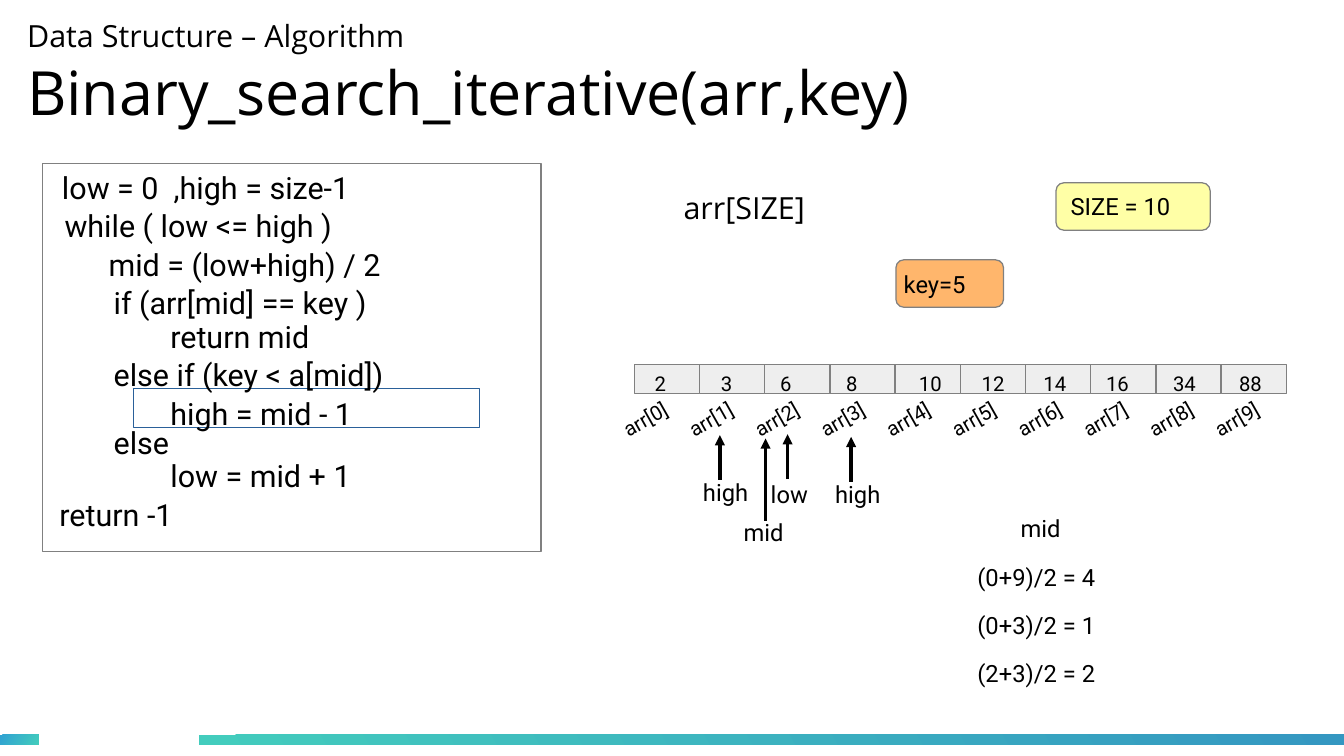
from pptx import Presentation
from pptx.dml.color import RGBColor
from pptx.enum.shapes import MSO_CONNECTOR as Link, MSO_SHAPE as Kind
from pptx.enum.text import MSO_ANCHOR as Anchor, MSO_AUTO_SIZE as Auto, PP_ALIGN as Align
from pptx.oxml.ns import qn
from pptx.util import Pt
from lxml.etree import SubElement

BLACK = RGBColor(0x00, 0x00, 0x00)
WHITE = RGBColor(0xFF, 0xFF, 0xFF)
GRAY = RGBColor(0x80, 0x80, 0x80)
PALE = RGBColor(0xEE, 0xEE, 0xEE)
YELLOW = RGBColor(0xFF, 0xFF, 0xA6)
ORANGE = RGBColor(0xFF, 0xB6, 0x6C)
NAVY = RGBColor(0x2A, 0x60, 0x99)
TEAL = RGBColor(0x43, 0xCC, 0xBD)
SKY = RGBColor(0x30, 0xA2, 0xD2)
BLUE = RGBColor(0x34, 0x97, 0xC1)


class Board:
    head, body = "Open Sans", "Roboto"

    def __init__(self, slide):
        self.slide = slide
        self.shapes = slide.shapes

    def style(self, run, size, face):
        run.font.size = Pt(size)
        run.font.name = face
        run.font.color.rgb = BLACK

    def title(self, text, sizes, x, y, w, h):
        box = self.shapes.title
        box.left, box.top, box.width, box.height = Pt(x), Pt(y), Pt(w), Pt(h)
        frame = box.text_frame
        frame.text = text
        frame.auto_size = Auto.NONE
        frame.word_wrap = True
        frame.vertical_anchor = Anchor.MIDDLE
        frame.margin_left = frame.margin_right = 0
        frame.margin_top = frame.margin_bottom = 0
        line = frame.paragraphs[0]
        line.alignment = Align.LEFT
        for run, size in zip(line.runs, sizes):
            self.style(run, size, self.head)

    def text(self, text, x, y, w, h, size=14, face=body, turn=0):
        box = self.shapes.add_textbox(Pt(x), Pt(y), Pt(w), Pt(h))
        box.rotation = turn
        frame = box.text_frame
        frame.word_wrap = True
        frame.text = text
        self.style(frame.paragraphs[0].runs[0], size, face)

    def shape(self, x, y, w, h, fill, line=GRAY, kind=Kind.RECTANGLE):
        box = self.shapes.add_shape(kind, Pt(x), Pt(y), Pt(w), Pt(h))
        box.shadow.inherit = False
        box.fill.solid()
        box.fill.fore_color.rgb = fill
        box.line.color.rgb = line
        box.line.width = Pt(0)
        return box

    def band(self, x, y, w, h, start, end, angle):
        box = self.shape(x, y, w, h, start)
        box.line.fill.background()
        box.fill.gradient()
        box.fill.gradient_angle = angle
        for stop, color in zip(box.fill.gradient_stops, (start, end)):
            stop.color.rgb = color

    def arrow(self, x, low, top):
        line = self.shapes.add_connector(Link.STRAIGHT, Pt(x), Pt(low), Pt(x), Pt(top))
        line.line.color.rgb = BLACK
        line.line.width = Pt(0)
        SubElement(line.line._get_or_add_ln(), qn("a:tailEnd"), type="triangle")
        SubElement(line._element.spPr, qn("a:effectLst"))


def main():
    deck = Presentation()
    deck.slide_width, deck.slide_height = Pt(793.5), Pt(446.5)
    board = Board(deck.slides.add_slide(deck.slide_layouts[5]))

    # Footer bands and title
    board.band(0, 434, 23, 6, SKY, TEAL, 330)
    board.band(117.5, 434, 676, 6, TEAL, BLUE, 30)
    board.title("Data Structure – Algorithm \vBinary_search_iterative(arr,key)",
                (18, 36), 16, -9.5, 749.5, 104.5)

    # Array name, size and key
    board.text("arr[SIZE]", 396.5, 108, 102, 32, 18, board.head)
    board.shape(623.5, 108, 91, 28, YELLOW, kind=Kind.ROUNDED_RECTANGLE)
    board.text("SIZE = 10", 625, 109.5, 86.5, 26)
    board.shape(529, 153.5, 63.5, 28, ORANGE, kind=Kind.ROUNDED_RECTANGLE)
    board.text("key=5", 526.5, 156, 69, 28)

    # Code panel with the current step boxed
    board.shape(25, 96.5, 294.5, 229.5, WHITE)
    board.shape(79, 229.5, 204, 23, WHITE, NAVY)
    code = (
        ("low = 0  ,high = size-1", 29.5, 96.5),
        ("while ( low <= high )", 31, 119),
        ("mid = (low+high) / 2", 57, 142),
        ("if (arr[mid] == key )", 60, 164),
        ("return mid", 93.5, 184.5),
        ("else if (key < a[mid])", 60, 206.5),
        ("high = mid - 1", 93.5, 229.5),
        ("else", 60, 247),
        ("low = mid + 1", 93.5, 266.5),
        ("return -1", 28, 289.5),
    )
    for line, x, y in code:
        board.text(line, x, y, 220, 32, 18)

    # Array cells, values and index labels
    cells = ((2, 379.5), (3, 418.5), (6, 453.5), (8, 492.5), (10, 535.5),
             (12, 572.5), (14, 609), (16, 646), (34, 685.5), (88, 724.5))
    for i, (value, x) in enumerate(cells):
        board.shape(374.5 + 38.5 * i, 215.5, 38.5, 17, PALE)
        board.text(str(value), x, 215.5, 36, 24, 12)
        board.text(f"arr[{i}]", 360 + 38.8 * i, 234.5, 50, 24, 12, turn=-29.6)

    # Pointers: name, text place, arrow place
    marks = (
        ("high", 408, 278.5, 425, 283.5, 257),
        ("mid", 432, 302.5, 452, 307.5, 259),
        ("low", 448, 280, 465, 283, 256.5),
        ("high", 486, 280, 502.5, 284.5, 258),
    )
    for name, x, y, tip, low, top in marks:
        board.arrow(tip, low, top)
        board.text(name, x, y, 47, 26)

    # Steps of the middle index
    board.text("mid", 595.5, 300, 45, 28)
    for i, step in enumerate(("(0+9)/2 = 4", "(0+3)/2 = 1", "(2+3)/2 = 2")):
        board.text(step, 570, 329 + 28.25 * i, 100, 28)

    deck.save("out.pptx")


if __name__ == "__main__":
    main()
